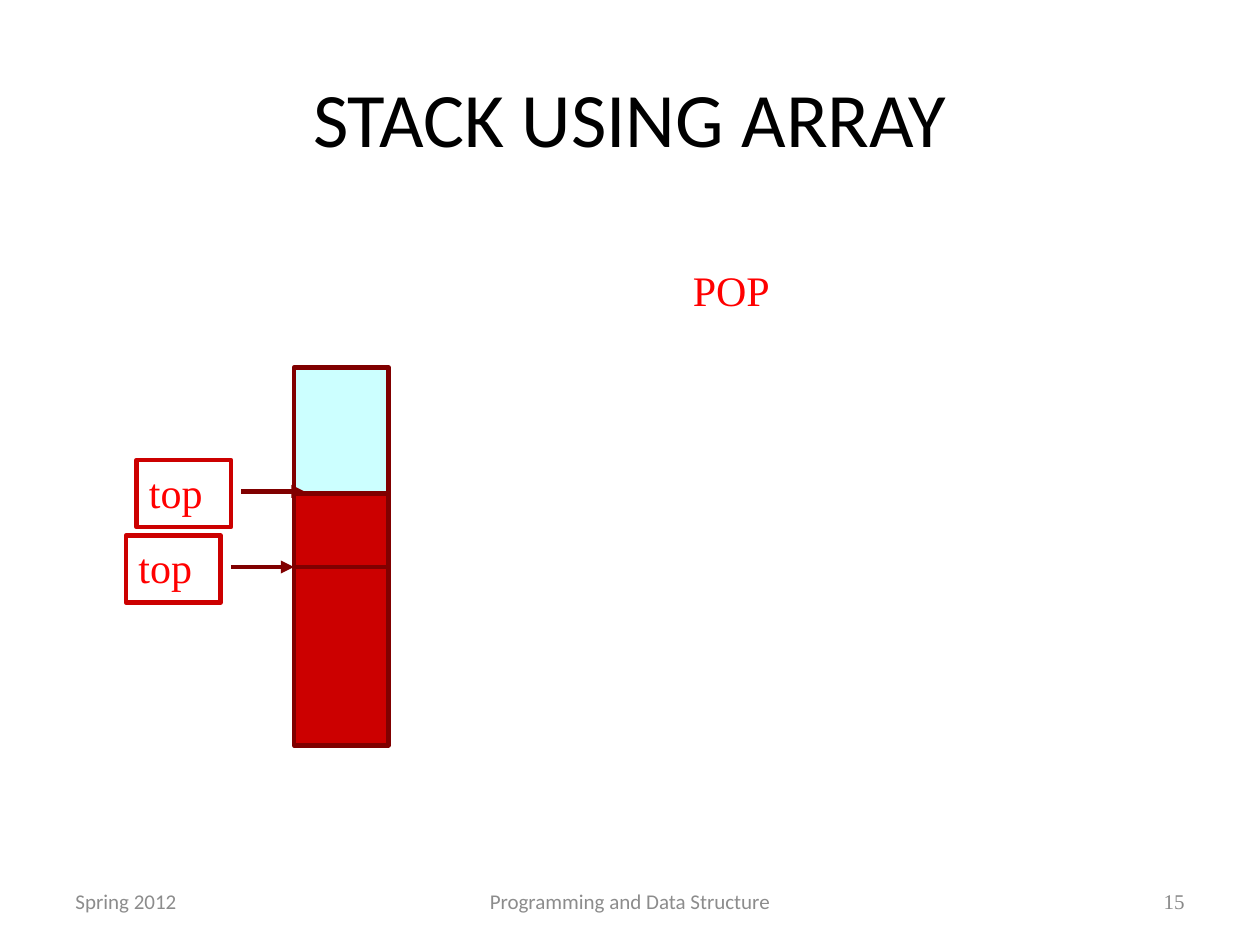
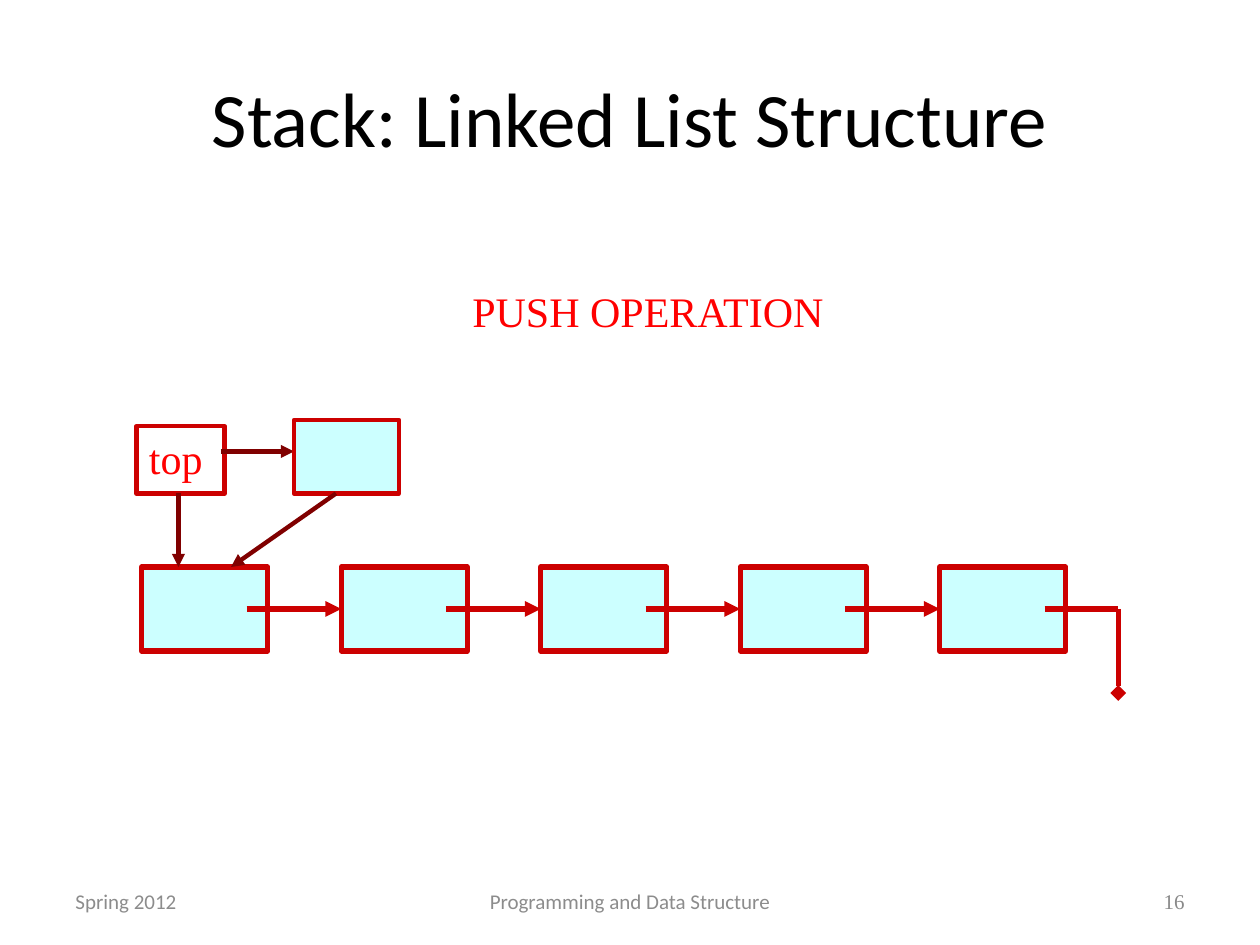
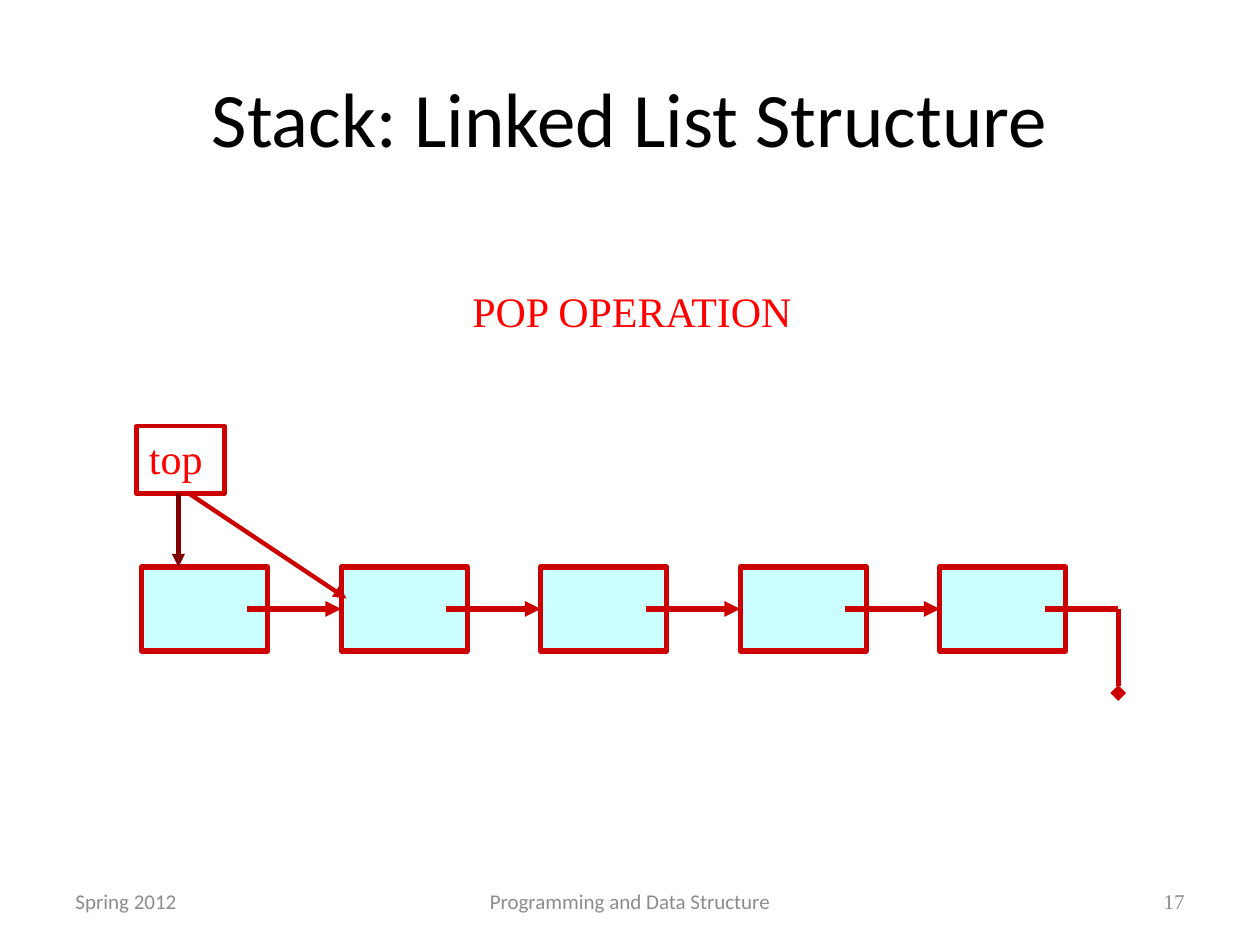
from lxml import etree
from pptx import Presentation
from pptx.dml.color import RGBColor
from pptx.enum import shapes, text
from pptx.oxml import ns
from pptx.util import Emu, Pt

PX = 7620
RED, MAROON, CYAN, BRIGHT = "CC0000", "800000", "CCFFFF", "FF0000"
LEFT, CENTER, RIGHT = text.PP_ALIGN.LEFT, text.PP_ALIGN.CENTER, text.PP_ALIGN.RIGHT
TOP, MIDDLE = text.MSO_ANCHOR.TOP, text.MSO_ANCHOR.MIDDLE
color = RGBColor.from_string

TITLE = {"name": "Calibri", "size": Pt(44), "ink": "000000", "align": CENTER, "anchor": MIDDLE}
FOOTER = {"name": "Calibri", "size": Pt(12), "ink": "8C8C8C", "align": LEFT, "anchor": MIDDLE}
NUMBER = FOOTER | {"name": "Times New Roman", "ink": "898989", "align": RIGHT}
LABEL = {"name": "Times New Roman", "size": Pt(24), "ink": BRIGHT, "align": LEFT, "anchor": TOP}


def add_box(page, bounds, words="", style=LABEL, fill=None, line=None, width=2.5):
    place = [Emu(value * PX) for value in bounds]
    if line:
        box = page.shapes.add_shape(shapes.MSO_SHAPE.RECTANGLE, *place)
        box.shadow.inherit = False
        box.line.color.rgb = color(line)
        box.line.width = Pt(width)
        if fill:
            box.fill.solid()
            box.fill.fore_color.rgb = color(fill)
        else:
            box.fill.background()
    else:
        box = page.shapes.add_textbox(*place)
    if words:
        frame = box.text_frame
        frame.word_wrap = True
        frame.vertical_anchor = style["anchor"]
        para = frame.paragraphs[0]
        para.alignment = style["align"]
        span = para.add_run()
        span.text = words
        for key in ("name", "size"):
            setattr(span.font, key, style[key])
        span.font.color.rgb = color(style["ink"])


def add_line(page, ends, line=MAROON, width=2.5, tail="triangle"):
    place = [Emu(value * PX) for value in ends]
    link = page.shapes.add_connector(shapes.MSO_CONNECTOR.STRAIGHT, *place)
    link.line.color.rgb = color(line)
    link.line.width = Pt(width)
    if tail:
        etree.SubElement(link.line._get_or_add_ln(), ns.qn("a:tailEnd"), type=tail)
    etree.SubElement(link._element.spPr, ns.qn("a:effectLst"))


deck = Presentation()
deck.slide_width, deck.slide_height = Emu(1200 * PX), Emu(900 * PX)

titles = ["STACK USING ARRAY", "Stack: Linked List Structure", "Stack: Linked List Structure"]
pages = []
for number, title in enumerate(titles, 15):
    page = deck.slides.add_slide(deck.slide_layouts[6])
    add_box(page, (60, 36, 1080, 150), title, TITLE)
    add_box(page, (60, 834, 280, 48), "Spring 2012", FOOTER)
    add_box(page, (410, 834, 380, 48), "Programming and Data Structure", FOOTER | {"align": CENTER})
    add_box(page, (860, 834, 280, 48), str(number), NUMBER)
    pages.append(page)
array_page, push_page, pop_page = pages

add_box(array_page, (280, 540, 90, 170), fill=RED, line=MAROON)
add_box(array_page, (280, 350, 90, 190), fill=CYAN, line=MAROON)
for left, top, arrow in [(120, 510, 540), (130, 438, 468)]:
    add_box(array_page, (left, top, 90, 64), "top", line=RED)
    add_line(array_page, (left + 100, arrow, left + 160, arrow))
add_box(array_page, (280, 470, 90, 70), fill=RED, line=MAROON)
add_box(array_page, (648, 246, 104, 60), "POP")

for page, operation, width in [(push_page, "PUSH OPERATION", 383), (pop_page, "POP OPERATION", 356)]:
    nodes = [135 + 190 * index for index in range(5)]
    for left in nodes:
        add_box(page, (left, 540, 120, 80), fill=CYAN, line=RED, width=3)
    for left in nodes[:-1]:
        add_line(page, (left + 100, 580, left + 190, 580), RED, 3)
    add_line(page, (995, 580, 1065, 580), RED, 3, None)
    add_line(page, (1065, 580, 1065, 660), RED, 3, "diamond")
    add_box(page, (130, 406, 84, 64), "top", line=RED)
    add_line(page, (170, 470, 170, 540))
    add_box(page, (438, 266, width, 60), operation)

add_line(push_page, (210, 430, 280, 430))
add_box(push_page, (280, 400, 100, 70), fill=CYAN, line=RED)
add_line(push_page, (320, 470, 220, 540))
add_line(pop_page, (180, 470, 330, 570), RED)

deck.save("out.pptx")
